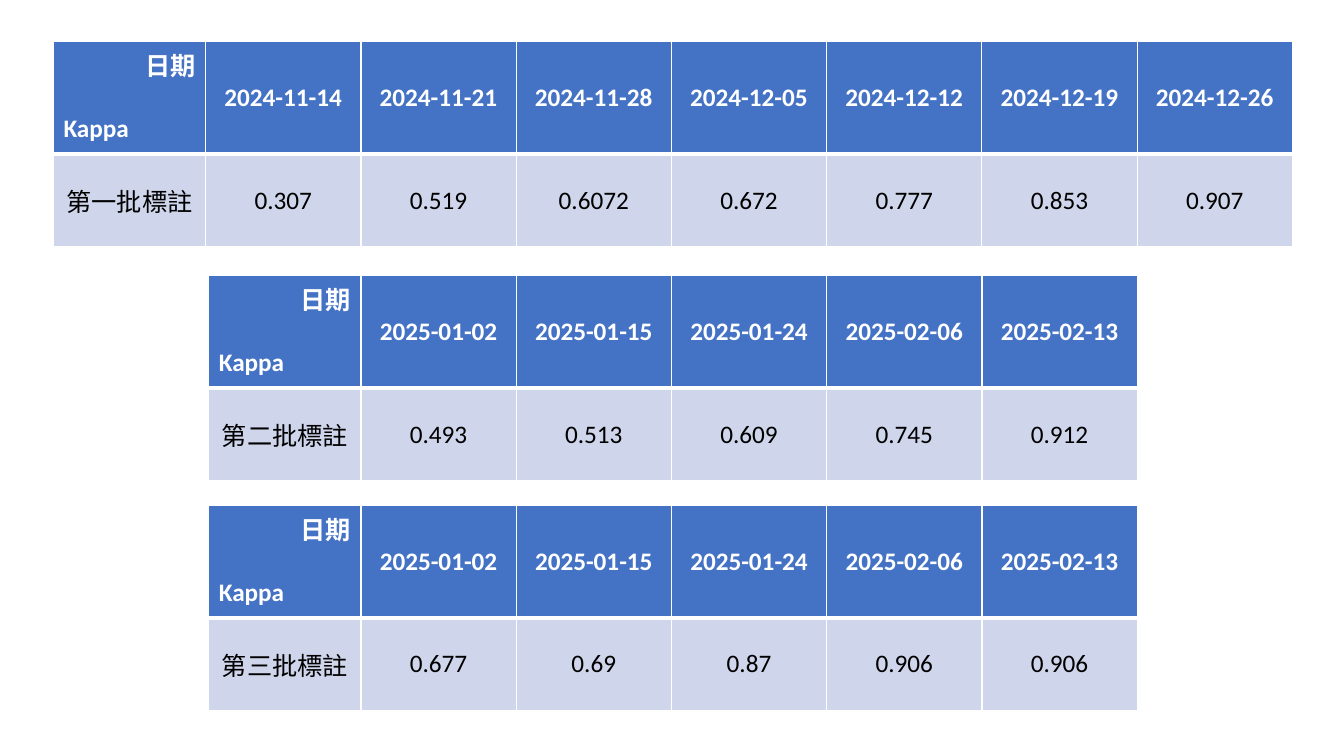
import pptx
import pptx.util
from pptx.dml.color import RGBColor
from pptx.enum.text import MSO_ANCHOR, PP_ALIGN
from pptx.oxml import parse_xml
from pptx.oxml.ns import nsdecls
from pptx.util import Inches, Pt

WHITE = RGBColor(0xFF, 0xFF, 0xFF)
BLACK = RGBColor(0x00, 0x00, 0x00)
BLUE = RGBColor(0x44, 0x72, 0xC4)
PALE_BLUE = RGBColor(0xCF, 0xD5, 0xEA)

LABEL_WIDTH, DATE_WIDTH = 1.51, 1.54
ROW_HEIGHTS = (1.12, 0.92)

FIRST_DATES = ["2024-11-14", "2024-11-21", "2024-11-28", "2024-12-05",
               "2024-12-12", "2024-12-19", "2024-12-26"]
LATER_DATES = ["2025-01-02", "2025-01-15", "2025-01-24", "2025-02-06",
               "2025-02-13"]

# Left, top, row label, dates, kappa values
BATCHES = [
    (0.53, 0.41, "第一批標註", FIRST_DATES,
     ["0.307", "0.519", "0.6072", "0.672", "0.777", "0.853", "0.907"]),
    (2.07, 2.73, "第二批標註", LATER_DATES,
     ["0.493", "0.513", "0.609", "0.745", "0.912"]),
    (2.07, 5.01, "第三批標註", LATER_DATES,
     ["0.677", "0.69", "0.87", "0.906", "0.906"]),
]


class KappaSlide:
    font = "Calibri"
    size = Pt(18)

    def __init__(self, prs):
        self.slide = prs.slides.add_slide(prs.slide_layouts[6])

    def paragraph(self, p, text, align, color, bold):
        p.text = text
        p.alignment = align
        font = p.runs[0].font
        font.name, font.size, font.bold = self.font, self.size, bold
        font.color.rgb = color

    def borders(self, cell, top, bottom):
        tcPr = cell._tc.get_or_add_tcPr()
        for side, width in (("L", 1), ("R", 1), ("T", top), ("B", bottom)):
            tcPr.append(parse_xml(
                f'<a:ln{side} {nsdecls("a")} w="{Pt(width)}"><a:solidFill>'
                f'<a:srgbClr val="{WHITE}"/></a:solidFill></a:ln{side}>'))

    def cell(self, cell, text, header):
        # Borders come before the fill in the cell properties
        self.borders(cell, *((1, 3) if header else (3, 1)))
        cell.fill.solid()
        cell.fill.fore_color.rgb = BLUE if header else PALE_BLUE
        cell.vertical_anchor = MSO_ANCHOR.MIDDLE
        self.paragraph(cell.text_frame.paragraphs[0], text, PP_ALIGN.CENTER,
                       WHITE if header else BLACK, header)

    def corner(self, cell):
        self.cell(cell, "日期", True)
        cell.vertical_anchor = MSO_ANCHOR.TOP
        tf = cell.text_frame
        tf.paragraphs[0].alignment = PP_ALIGN.RIGHT
        p = tf.add_paragraph()
        self.paragraph(p, "Kappa", PP_ALIGN.LEFT, WHITE, True)
        p.space_before = Pt(22)

    def table(self, left, top, label, dates, values):
        widths = [LABEL_WIDTH] + [DATE_WIDTH] * len(dates)
        table = self.slide.shapes.add_table(
            2, len(widths), Inches(left), Inches(top),
            Inches(sum(widths)), Inches(sum(ROW_HEIGHTS))).table
        for column, width in zip(table.columns, widths):
            column.width = Inches(width)
        for row, height in zip(table.rows, ROW_HEIGHTS):
            row.height = Inches(height)

        self.corner(table.cell(0, 0))
        for i, date in enumerate(dates, 1):
            self.cell(table.cell(0, i), date, True)
        for i, text in enumerate([label] + values):
            self.cell(table.cell(1, i), text, False)


def main():
    prs = pptx.Presentation()
    prs.slide_width, prs.slide_height = Inches(13.33), Inches(7.5)

    # One table per annotation batch
    s = KappaSlide(prs)
    for batch in BATCHES:
        s.table(*batch)

    prs.save("out.pptx")


if __name__ == "__main__":
    main()
